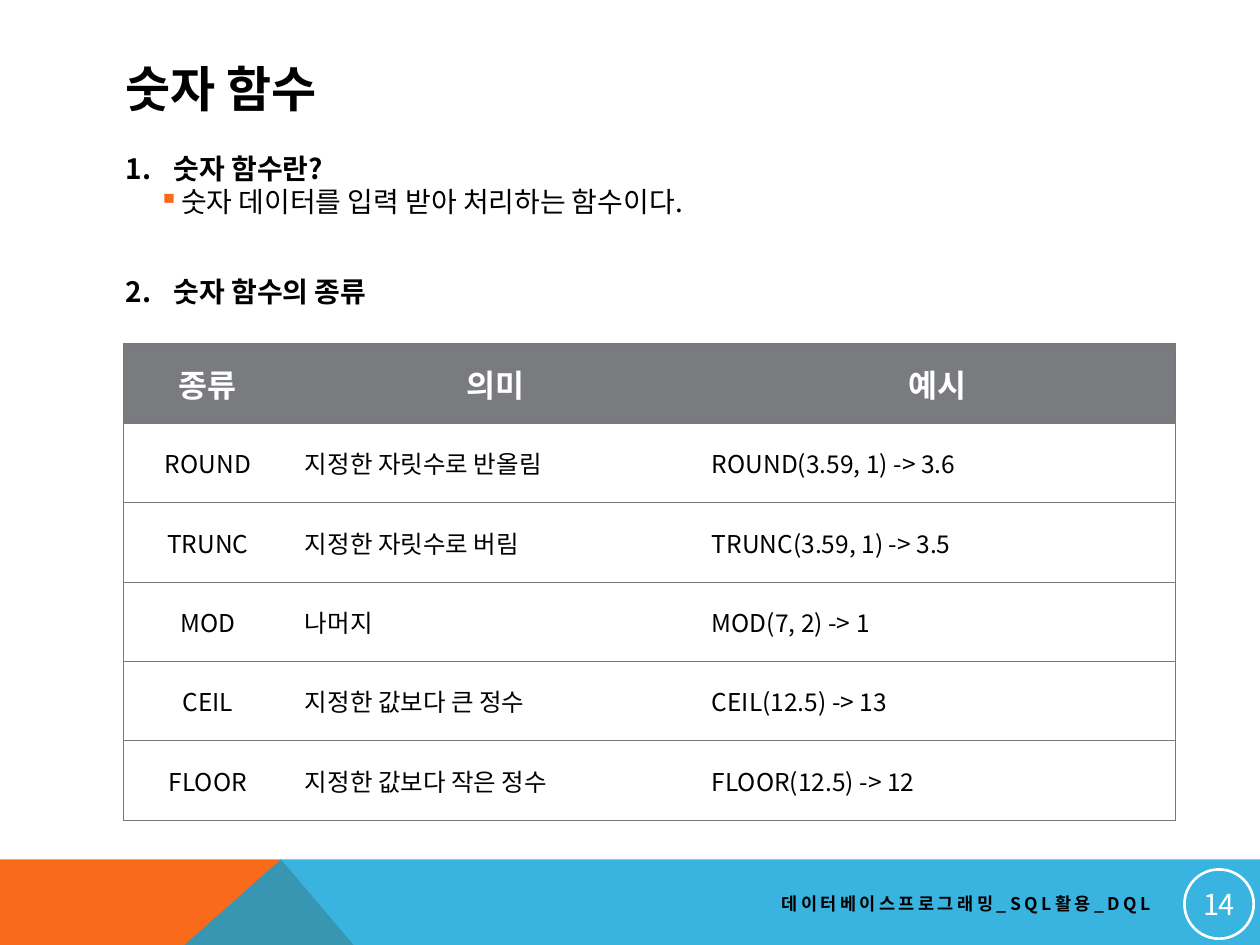
from pptx import Presentation
from pptx.dml.color import RGBColor as RGB
from pptx.enum.shapes import MSO_SHAPE as Shape
from pptx.enum.text import MSO_ANCHOR as Anchor, PP_ALIGN as Align
from pptx.oxml.ns import qn
from pptx.util import Inches, Pt
from lxml.etree import SubElement, Element

FONT = "Noto Sans CJK KR"
COLORS = {
    "text": "000000",
    "white": "FFFFFF",
    "orange": "F96A1B",
    "blue": "08A1D9",
    "header": "797B7E",
    "border": "76787B",
}
BAND_TOP, BAND_BOTTOM, BAND_PEAK = 6.82, 8.8, 2.23

COLUMN_WIDTHS = [1.34, 3.23, 3.78]
ROW_HEIGHT = 0.63
ROWS = [
    ("종류", "의미", "예시"),
    ("ROUND", "지정한 자릿수로 반올림", "ROUND(3.59, 1) -> 3.6"),
    ("TRUNC", "지정한 자릿수로 버림", "TRUNC(3.59, 1) -> 3.5"),
    ("MOD", "나머지", "MOD(7, 2) -> 1"),
    ("CEIL", "지정한 값보다 큰 정수", "CEIL(12.5) -> 13"),
    ("FLOOR", "지정한 값보다 작은 정수", "FLOOR(12.5) -> 12"),
]


def color(name):
    return RGB.from_string(COLORS[name])


def style_text(para, text, size, tint="text", bold=False, align=Align.LEFT):
    """Fill a paragraph and set its font for Latin and Korean letters."""
    para.text = text
    para.alignment = align
    font = para.font
    font.name, font.size, font.bold = FONT, Pt(size), bold
    font.color.rgb = color(tint)
    properties = para._p.pPr.find(qn("a:defRPr"))
    SubElement(properties, qn("a:ea"), typeface=FONT)
    return properties


def add_text_box(page, left, top, width, height, anchor=Anchor.MIDDLE):
    box = page.shapes.add_textbox(*map(Inches, (left, top, width, height)))
    frame = box.text_frame
    frame.word_wrap = True
    frame.vertical_anchor = anchor
    return frame


def set_bullet(para, margin, indent, number=None, symbol=None):
    """Give a paragraph a hanging number or an orange symbol."""
    properties = para._p.get_or_add_pPr()
    properties.set("marL", str(Inches(margin)))
    properties.set("indent", str(Inches(indent)))
    if number:
        bullets = [Element(qn("a:buAutoNum"), type="arabicPeriod", startAt=str(number))]
    else:
        tint = Element(qn("a:buClr"))
        SubElement(tint, qn("a:srgbClr"), val=COLORS["orange"])
        bullets = [tint, Element(qn("a:buChar"), char=symbol)]
    defaults = properties.find(qn("a:defRPr"))
    for bullet in bullets:
        defaults.addprevious(bullet)


def add_band(page, points, tint, opacity=None):
    """Draw one filled outline of the bottom band."""
    start, *rest = [(Inches(x), Inches(y)) for x, y in points]
    builder = page.shapes.build_freeform(*start)
    builder.add_line_segments(rest, close=True)
    band = builder.convert_to_shape()
    band.shadow.inherit = False
    band.fill.solid()
    band.fill.fore_color.rgb = color(tint)
    band.line.fill.background()
    if opacity:
        fill = band._element.spPr.find(qn("a:solidFill"))
        SubElement(fill[0], qn("a:alpha"), val=str(opacity * 1000))


def set_borders(cell, visible):
    """Draw the visible sides of a cell and clear the others."""
    properties = cell._tc.get_or_add_tcPr()
    for position, side in enumerate("LRTB"):
        line = Element(qn(f"a:ln{side}"), w=str(Pt(0.75)))
        if side in visible:
            fill = SubElement(line, qn("a:solidFill"))
            SubElement(fill, qn("a:srgbClr"), val=COLORS["border"])
        else:
            SubElement(line, qn("a:noFill"))
        properties.insert(position, line)


def add_function_table(page, left, top):
    width, height = sum(COLUMN_WIDTHS), ROW_HEIGHT * len(ROWS)
    frame = page.shapes.add_table(len(ROWS), len(COLUMN_WIDTHS),
                                  *map(Inches, (left, top, width, height)))
    table = frame.table
    table.horz_banding = False
    for column, column_width in zip(table.columns, COLUMN_WIDTHS):
        column.width = Inches(column_width)
    last = len(COLUMN_WIDTHS) - 1
    for r, row in enumerate(ROWS):
        header = r == 0
        for c, text in enumerate(row):
            cell = table.cell(r, c)
            cell.vertical_anchor = Anchor.MIDDLE
            cell.fill.solid()
            cell.fill.fore_color.rgb = color("header" if header else "white")
            style_text(cell.text_frame.paragraphs[0], text,
                       size=18 if header else 14,
                       tint="white" if header else "text", bold=header,
                       align=Align.CENTER if header or c == 0 else Align.LEFT)
            set_borders(cell, "TB" + "L" * (c == 0) + "R" * (c == last))


def add_outline(page):
    frame = add_text_box(page, 0.9, 1.2, 8.22, 1.45, Anchor.TOP)
    items = [
        ("숫자 함수란?", 8, 1),
        ("숫자 데이터를 입력 받아 처리하는 함수이다.", 3, None),
        ("숫자 함수의 종류", 35, 2),
    ]
    for i, (text, space, number) in enumerate(items):
        para = frame.add_paragraph() if i else frame.paragraphs[0]
        style_text(para, text, 16, bold=bool(number))
        para.space_before = Pt(space)
        para.line_spacing = 0.83
        if number:
            set_bullet(para, 0.38, -0.38, number=number)
        else:
            set_bullet(para, 0.44, -0.18, symbol="▪")


def add_page_number(page, number):
    circle = page.shapes.add_shape(Shape.OVAL, *map(Inches, (9.4, 6.9, 0.55, 0.55)))
    circle.shadow.inherit = False
    circle.fill.background()
    circle.line.color.rgb = color("white")
    circle.line.width = Pt(1.5)
    frame = circle.text_frame
    frame.margin_left = frame.margin_right = Inches(0.01)
    frame.margin_top = frame.margin_bottom = Inches(0.01)
    frame.vertical_anchor = Anchor.MIDDLE
    style_text(frame.paragraphs[0], number, 16.5, "white", align=Align.CENTER)


def main():
    deck = Presentation()
    deck.slide_width, deck.slide_height = Inches(10), Inches(7.5)
    page = deck.slides.add_slide(deck.slide_layouts[6])

    # Bottom band
    peak = (BAND_PEAK, BAND_TOP)
    add_band(page, [(0, BAND_BOTTOM), (0, BAND_TOP), peak, (3.91, BAND_BOTTOM)], "orange")
    add_band(page, [(0, BAND_BOTTOM), peak, (10, BAND_TOP), (10, BAND_BOTTOM)], "blue", 80)

    # Title and outline
    title = add_text_box(page, 0.9, 0.4, 8.22, 0.6)
    style_text(title.paragraphs[0], "숫자 함수", 28, bold=True)
    add_outline(page)

    # Footer and page number
    footer = add_text_box(page, 4.06, 7.02, 5.17, 0.3)
    properties = style_text(footer.paragraphs[0], "데이터베이스프로그래밍_SQL활용_DQL",
                            10, bold=True, align=Align.RIGHT)
    properties.set("spc", "200")
    add_page_number(page, "14")

    # Function table
    add_function_table(page, 0.98, 2.73)

    deck.save("out.pptx")


if __name__ == "__main__":
    main()
